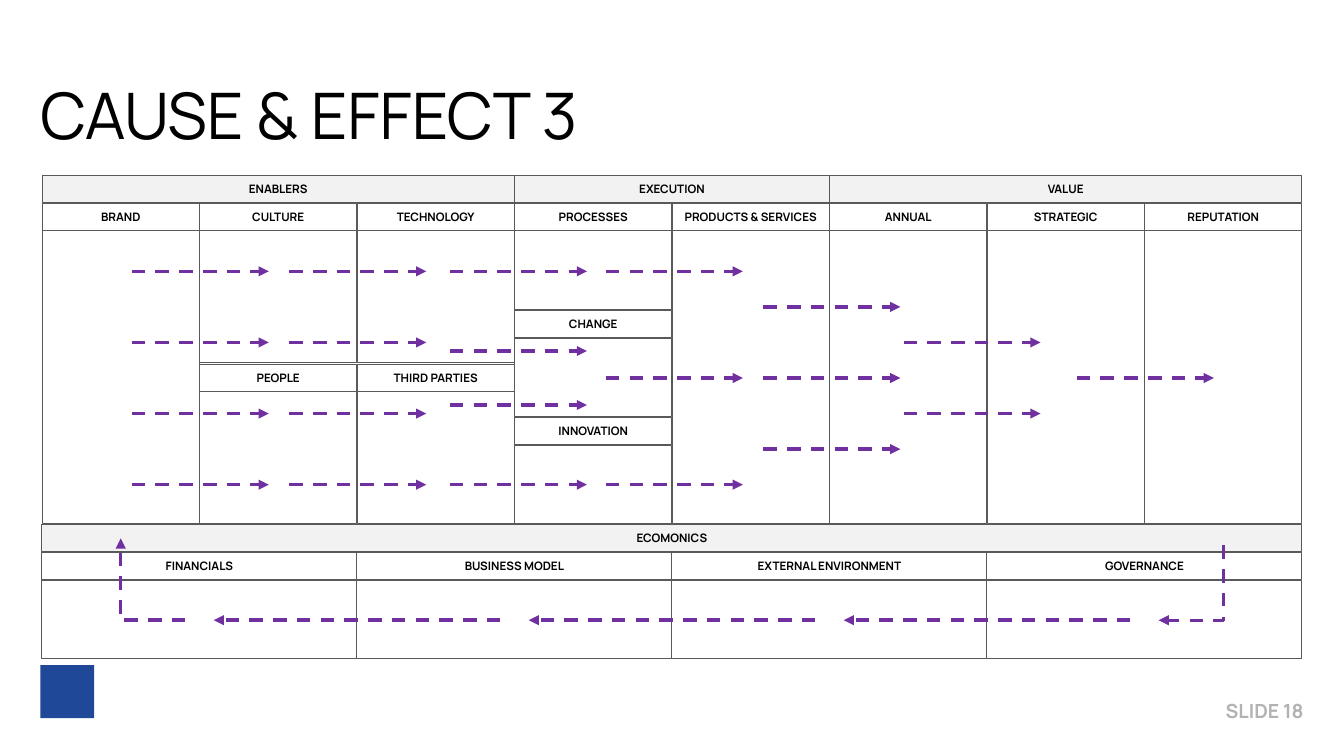
from lxml import etree
from pptx import Presentation
from pptx.dml.color import RGBColor
from pptx.enum.dml import MSO_LINE
from pptx.enum.shapes import MSO_CONNECTOR, MSO_SHAPE
from pptx.enum.text import MSO_ANCHOR, PP_ALIGN
from pptx.oxml.ns import qn
from pptx.util import Inches, Pt

STRAIGHT, ELBOW = MSO_CONNECTOR.STRAIGHT, MSO_CONNECTOR.ELBOW
RECT, DASH, MIDDLE = MSO_SHAPE.RECTANGLE, MSO_LINE.DASH, MSO_ANCHOR.MIDDLE
LEFT, CENTER, RIGHT = PP_ALIGN.LEFT, PP_ALIGN.CENTER, PP_ALIGN.RIGHT

BLACK = RGBColor(0x00, 0x00, 0x00)
WHITE = RGBColor(0xFF, 0xFF, 0xFF)
BAND = RGBColor(0xF2, 0xF2, 0xF2)
BORDER = RGBColor(0x59, 0x59, 0x59)
PURPLE = RGBColor(0x70, 0x30, 0xA0)
BLUE = RGBColor(0x20, 0x48, 0x98)
FOOTER = RGBColor(0xB2, 0xB2, 0xB2)

# Grid in inches: eight columns, header rows of one unit
GRID_X, GRID_Y, COL, ROW, GAP = 0.6, 2.5, 2.25, 0.4, 0.01
BODY, ECONOMICS = 10.48, 12.48
HALF_BODY, THIRD_BODY = 4.73, 2.83
MID_ROW, LANE, RETURN_ROW = 7.25, 1.27, 15.9
ARROW = 0.87

BODY_CELLS = [  # column, row, rows high
    *[(col, 2, BODY) for col in (0, 4, 5, 6, 7)],
    *[(col, row, HALF_BODY) for col in (1, 2) for row in (2, 7.75)],
    *[(3, row, THIRD_BODY) for row in (2, 5.83, 9.65)],
]
COLUMN_HEADS = ["BRAND", "CULTURE", "TECHNOLOGY", "PROCESSES",
                "PRODUCTS & SERVICES", "ANNUAL", "STRATEGIC", "REPUTATION"]
INNER_HEADS = [(1, 6.75, "PEOPLE"), (2, 6.75, "THIRD PARTIES"),
               (3, 4.83, "CHANGE"), (3, 8.65, "INNOVATION")]
BANDS = [(0, 0, 3, "ENABLERS"), (3, 0, 2, "EXECUTION"), (5, 0, 3, "VALUE"),
         (0, ECONOMICS, 8, "ECOMONICS")]
ECONOMIC_HEADS = ["FINANCIALS", "BUSINESS MODEL", "EXTERNAL ENVIRONMENT",
                  "GOVERNANCE"]
ARROW_LANES = [  # start column, lanes counted from the middle
    (0.57, (-3, -1, 1, 3)),
    (1.57, (-3, -1, 1, 3)),
    (2.59, (-3, -0.76, 0.76, 3)),
    (3.58, (-3, 0, 3)),
    (4.58, (-2, 0, 2)),
    (5.47, (-1, 1)),
    (6.57, (0,)),
]


def grid_x(col):
    return Inches(GRID_X + col * COL)


def grid_y(row):
    return Inches(GRID_Y + row * ROW)


class Diagram:
    font = "Manrope"

    def __init__(self, prs):
        self.slide = prs.slides.add_slide(prs.slide_layouts[6])
        self.width, self.height = prs.slide_width, prs.slide_height

    def area(self, x, y, w, h):
        """Turn shares of the slide's size into lengths."""
        return (int(x * self.width), int(y * self.height),
                int(w * self.width), int(h * self.height))

    def set_text(self, sp, text, size, color, align, bold):
        tf = sp.text_frame
        tf.word_wrap = True
        tf.vertical_anchor = MIDDLE
        tf.text = text
        p = tf.paragraphs[0]
        p.alignment = align
        font = p.runs[0].font
        font.name, font.size, font.bold = self.font, Pt(size), bold
        font.color.rgb = color

    def label(self, area, text, size, color=BLACK, align=LEFT, bold=False):
        sp = self.slide.shapes.add_textbox(*self.area(*area))
        tf = sp.text_frame
        tf.margin_top = tf.margin_bottom = 0
        tf.margin_left = tf.margin_right = 0
        self.set_text(sp, text, size, color, align, bold)

    def block(self, area, fill):
        sp = self.slide.shapes.add_shape(RECT, *area)
        sp.shadow.inherit = False
        sp.fill.solid()
        sp.fill.fore_color.rgb = fill
        sp.line.fill.background()
        return sp

    def cell(self, col, row, cols=1, rows=1, text="", fill=WHITE):
        sp = self.block((grid_x(col), grid_y(row), Inches(cols * COL),
                         Inches(rows * ROW - GAP)), fill)
        sp.line.color.rgb = BORDER
        sp.line.width = Pt(1)
        if text:
            tf = sp.text_frame
            tf.margin_left = tf.margin_right = Inches(0.04)
            tf.margin_top = tf.margin_bottom = Inches(0.04)
            self.set_text(sp, text, 12, BLACK, CENTER, True)

    def connector(self, kind, x1, y1, x2, y2):
        cn = self.slide.shapes.add_connector(kind, x1, y1, x2, y2)
        cn.line.color.rgb = PURPLE
        cn.line.width = Pt(3.5)
        cn.line.dash_style = DASH
        spPr = cn._element.spPr
        etree.SubElement(spPr.find(qn("a:ln")), qn("a:tailEnd"), type="triangle")
        etree.SubElement(spPr, qn("a:effectLst"))
        return cn

    def arrow(self, start, end, row):
        self.connector(STRAIGHT, grid_x(start), grid_y(row),
                       grid_x(end), grid_y(row))

    def corner_arrow(self, start, end, turn):
        """Draw a one-bend arrow between grid points, turned 90 or 180 degrees."""
        (x1, y1), (x2, y2) = [(grid_x(c), grid_y(r)) for c, r in (start, end)]
        w, h = abs(x2 - x1), abs(y2 - y1)
        if turn == 90:
            w, h = h, w
        left, top = (x1 + x2 - w) // 2, (y1 + y2 - h) // 2
        cn = self.connector(ELBOW, left, top, left + w, top + h)
        spPr = cn._element.spPr
        spPr.find(qn("a:prstGeom")).set("prst", "bentConnector2")
        spPr.find(qn("a:xfrm")).set("rot", str(turn * 60000))


def main():
    prs = Presentation()
    prs.slide_width, prs.slide_height = Inches(19.2), Inches(10.8)
    d = Diagram(prs)

    d.block(d.area(0.03, 0.88, 0.04, 0.07), BLUE)
    d.label((0.88, 0.92, 0.09, 0.04), "SLIDE 18", 20, FOOTER, RIGHT, True)
    d.label((0.03, 0.08, 0.94, 0.14), "CAUSE & EFFECT 3", 66)

    for col, row, rows in BODY_CELLS:
        d.cell(col, row, rows=rows)
    for col, text in enumerate(COLUMN_HEADS):
        d.cell(col, 1, text=text)
    for col, row, text in INNER_HEADS:
        d.cell(col, row, text=text)
    for col, row, cols, text in BANDS:
        d.cell(col, row, cols, text=text, fill=BAND)
    for i, text in enumerate(ECONOMIC_HEADS):
        d.cell(2 * i, ECONOMICS + 1, 2, text=text)
        d.cell(2 * i, ECONOMICS + 2, 2, THIRD_BODY)

    for start, lanes in ARROW_LANES:
        for lane in lanes:
            d.arrow(start, start + ARROW, MID_ROW + lane * LANE)
    d.corner_arrow((7.5, 13.23), (7.09, RETURN_ROW), 90)
    for boundary in (6, 4, 2):
        d.arrow(boundary + 0.91, boundary - 0.91, RETURN_ROW)
    d.corner_arrow((0.91, RETURN_ROW), (0.5, 12.98), 180)

    prs.save("out.pptx")


if __name__ == "__main__":
    main()
